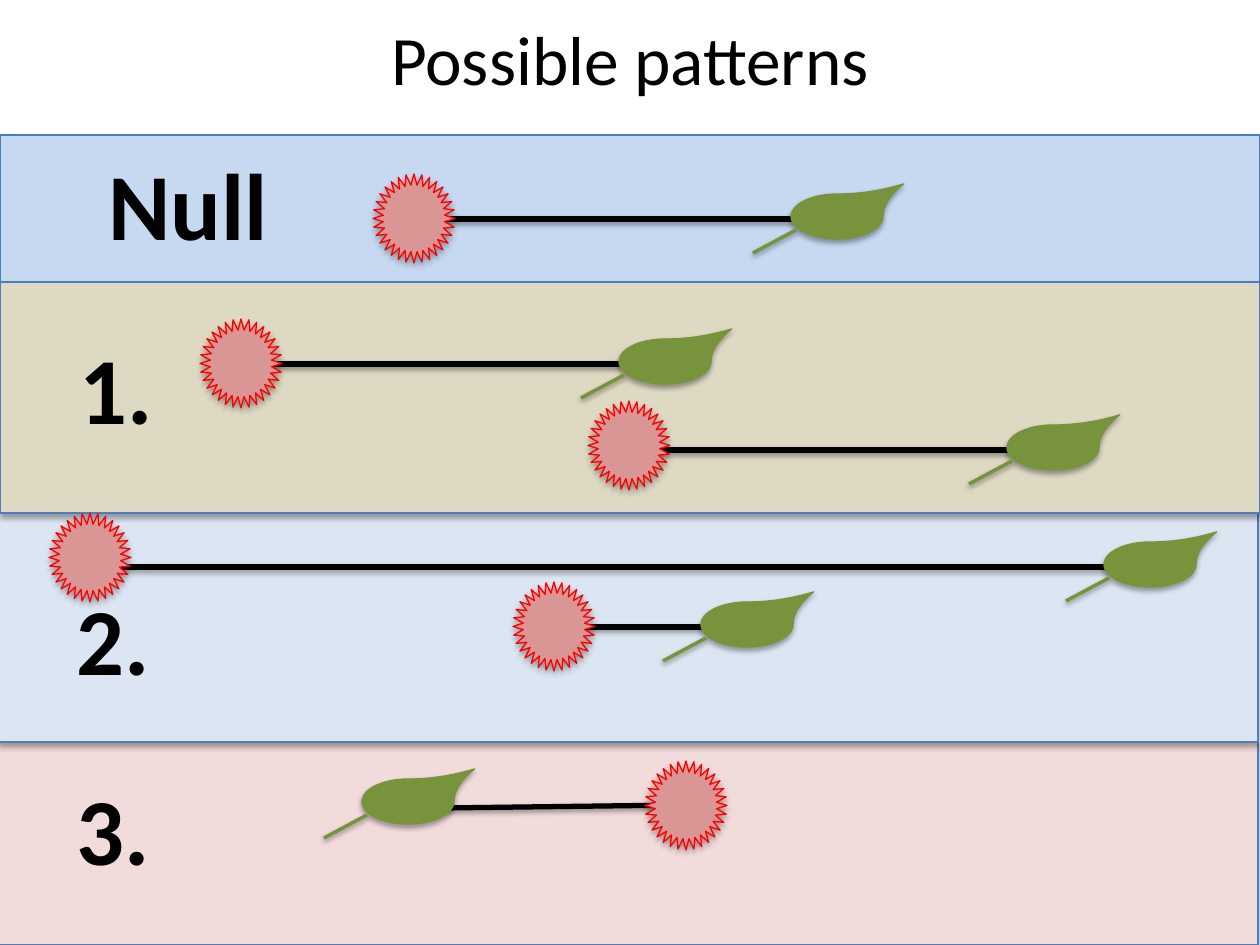
from lxml import etree
from pptx import Presentation
from pptx.dml.color import RGBColor
from pptx.enum.shapes import MSO_CONNECTOR, MSO_SHAPE
from pptx.enum.text import MSO_ANCHOR, MSO_AUTO_SIZE, PP_ALIGN
from pptx.oxml.ns import qn
from pptx.util import Emu, Pt

RECT = MSO_SHAPE.RECTANGLE
TEAR = MSO_SHAPE.TEAR
STAR = MSO_SHAPE.STAR_32_POINT
LINE = MSO_CONNECTOR.STRAIGHT
CENTER = PP_ALIGN.CENTER
MIDDLE = MSO_ANCHOR.MIDDLE
GROW = MSO_AUTO_SIZE.SHAPE_TO_FIT_TEXT

BLACK, GREEN, PINK, RED, BLUE = "000000", "77933C", "D99694", "FF0000", "4B7EBC"

# top, height, left, fill
BANDS = [
    (135, 168, 0, "C6D9F1"),
    (742, 203, -2, "F2DCDB"),
    (500, 242, -2, "DCE6F2"),
    (282, 231, 0, "DDD9C3"),
]
# leaf x, leaf y, star x, star y, line start from leaf, line end from star
PAIRS = [
    ((791, 194), (373, 174), (2, 25), (70, 45)),
    ((619, 339), (200, 319), (2, 25), (70, 45)),
    ((1007, 425), (588, 401), (2, 25), (70, 49)),
    ((701, 602), (513, 582), (2, 25), (63, 45)),
    ((362, 779), (645, 761), (82, 29), (40, 44)),
    ((1104, 542), (49, 513), (2, 25), (63, 54)),
]
# text, left, top, width
LABELS = [
    ("Null", 25, 140, 326),
    ("3.", 8, 765, 210),
    ("2.", 9, 575, 208),
    ("1.", 14, 324, 204),
]


def px(*nums):
    return [Emu(round(n * 914400 / 126)) for n in nums]


def rgb(code):
    return RGBColor.from_string(code)


def shade(item, alpha, dist):
    """Add a soft black shadow falling straight down."""
    fx = etree.SubElement(item._element.spPr, qn("a:effectLst"))
    cast = etree.SubElement(fx, qn("a:outerShdw"), blurRad=str(Pt(3.1)),
                            dist=str(Pt(dist)), dir="5400000", rotWithShape="0")
    tint = etree.SubElement(cast, qn("a:srgbClr"), val=BLACK)
    etree.SubElement(tint, qn("a:alpha"), val=str(alpha * 1000))


def add_shape(slide, kind, box, fill, edge):
    shape = slide.shapes.add_shape(kind, *px(*box))
    shape.fill.solid()
    shape.fill.fore_color.rgb = rgb(fill)
    shape.line.color.rgb = rgb(edge)
    shape.line.width = Pt(0.75)
    shade(shape, 35, 1.8)
    return shape


def add_line(slide, start, end, color, width):
    line = slide.shapes.add_connector(LINE, *px(*start, *end))
    line.line.color.rgb = rgb(color)
    line.line.width = Pt(width)
    shade(line, 38, 1.6)


def shift(point, step):
    return point[0] + step[0], point[1] + step[1]


def add_pair(slide, leaf, star, start, end):
    """Draw a leaf and a star joined by a line."""
    add_line(slide, shift(leaf, start), shift(star, end), BLACK, 3)
    blade = add_shape(slide, TEAR, (*leaf, 92, 45), GREEN, GREEN)
    blade.adjustments[0] = 1.45
    add_shape(slide, STAR, (*star, 82, 89), PINK, RED)
    add_line(slide, shift(leaf, (-38, 59)), shift(leaf, (5, 36)), GREEN, 2)


def set_text(frame, text, size, bold):
    frame.text = text
    frame.word_wrap = True
    para = frame.paragraphs[0]
    para.alignment = CENTER
    font = para.runs[0].font
    font.name, font.size, font.bold = "Calibri", Pt(size), bold
    font.color.rgb = rgb(BLACK)


def add_title(slide, text):
    title = slide.shapes.title
    title.left, title.top, title.width, title.height = px(63, 15, 1134, 86)
    set_text(title.text_frame, text, 39.6, False)
    title.text_frame.vertical_anchor = MIDDLE


def add_label(slide, text, left, top, width):
    box = slide.shapes.add_textbox(*px(left, top, width, 127))
    set_text(box.text_frame, text, 54, True)
    box.text_frame.auto_size = GROW


def main():
    prs = Presentation()
    prs.slide_width, prs.slide_height = px(1260, 945)
    slide = prs.slides.add_slide(prs.slide_layouts[5])
    for top, height, left, fill in BANDS:
        add_shape(slide, RECT, (left, top, 1260, height), fill, BLUE)
    add_title(slide, "Possible patterns")
    for pair in PAIRS:
        add_pair(slide, *pair)
    for label in LABELS:
        add_label(slide, *label)
    prs.save("out.pptx")


if __name__ == "__main__":
    main()
